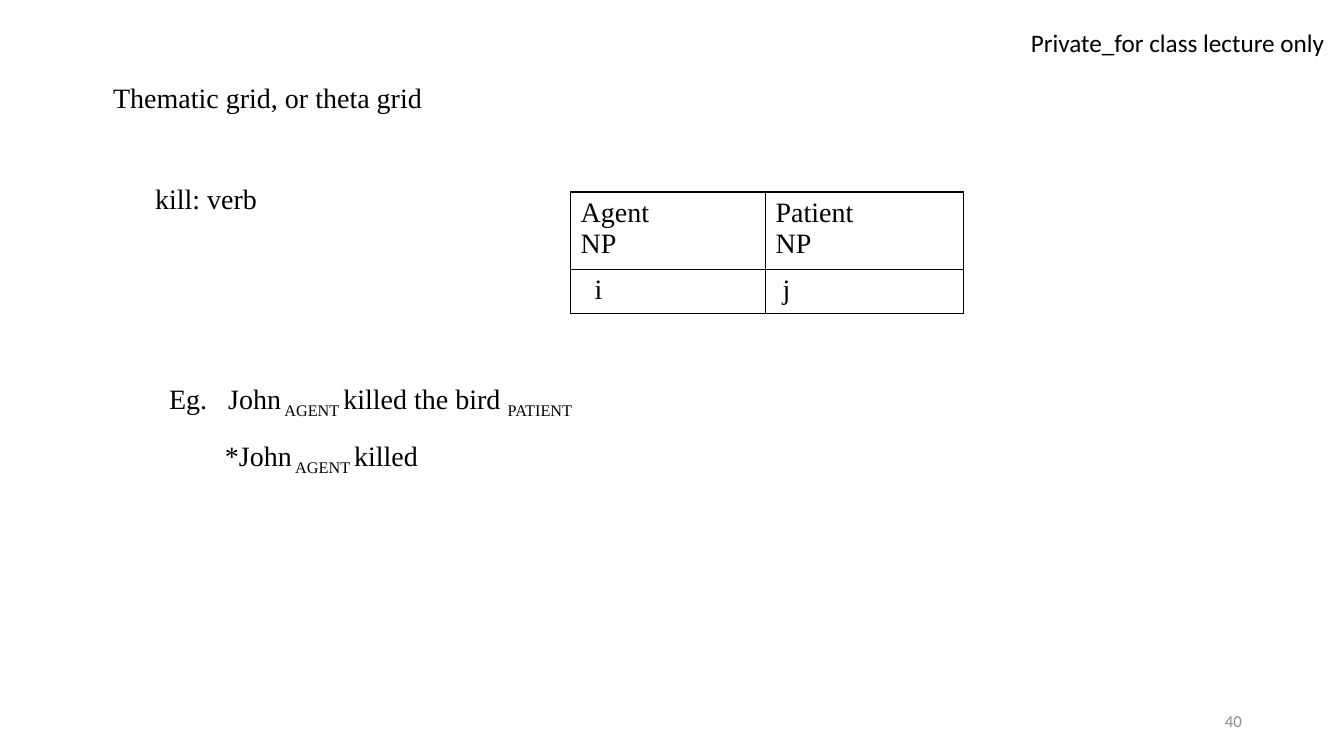
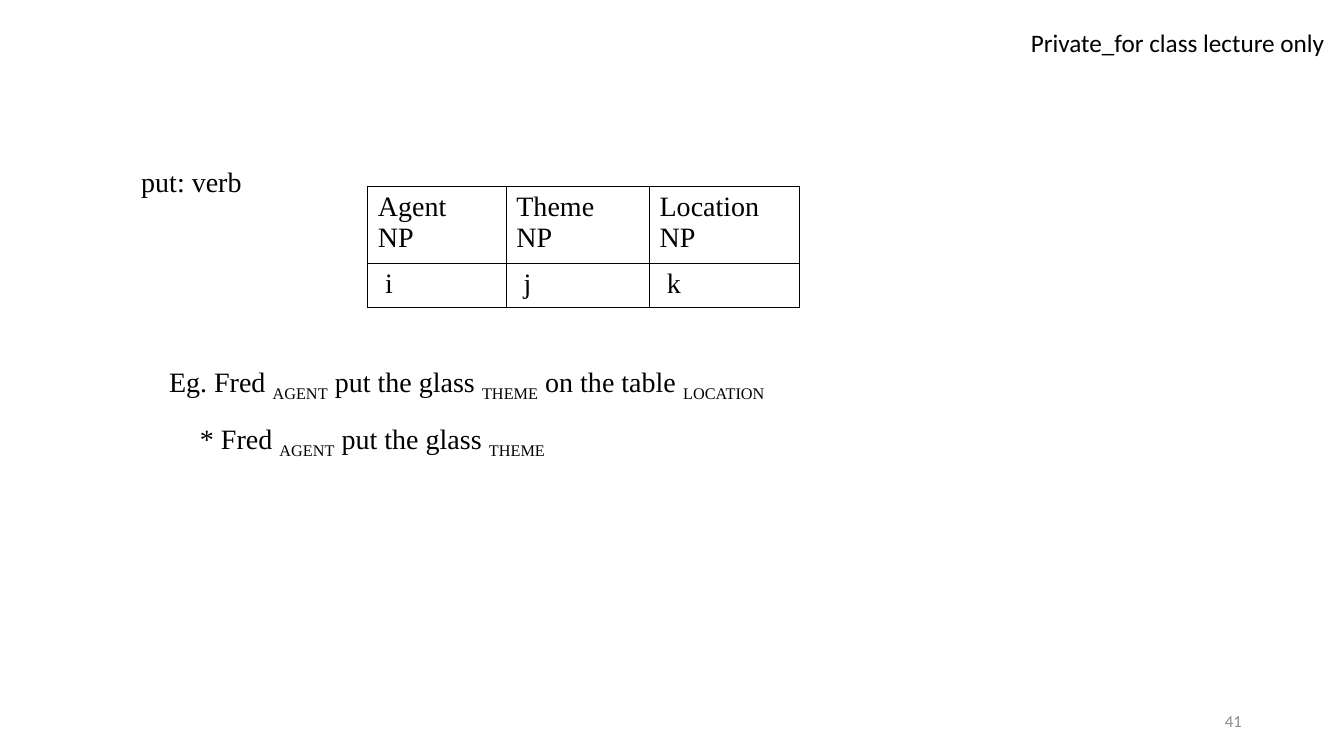
from dataclasses import dataclass
from typing import Any

from lxml import etree
from pptx import Presentation
from pptx import util as u
from pptx.dml.color import RGBColor
from pptx.enum import text
from pptx.oxml.ns import qn

# Shared style
BLACK = "000000"
GREY = "8C8C8C"
SERIF = "Times New Roman"
SANS = "Calibri"
BODY_SIZE = 20
BODY_LEFT = 2.85
LINE_HEIGHT = 24
HEADER_ROW, INDEX_ROW = 1.81, 1.04
# Space above a line, in points
AFTER_TITLE, BEFORE_EXAMPLES, NEXT_EXAMPLE = 48, 122, 17


@dataclass
class Line:
    """Phrases alternate between normal text and subscript role labels."""
    phrases: list[str]
    indent: float = 0
    space_before: float = 0
    hanging: float = 0


@dataclass
class Role:
    name: str
    index: str
    width: float
    index_indent: float = 0.18


@dataclass
class ThetaSlide:
    number: int
    text_top: float
    lines: list[Line]
    table_left: float
    table_top: float
    roles: list[Role]


SLIDES = [
    ThetaSlide(
        40, 2.03,
        [
            Line(["Thematic grid, or theta grid"]),
            Line(["kill: verb"], 1.06, AFTER_TITLE),
            Line(["Eg.\tJohn", " AGENT ", "killed the bird ", "PATIENT"],
                 2.9, BEFORE_EXAMPLES, 1.49),
            Line(["*John", " AGENT ", "killed"], 2.82, NEXT_EXAMPLE),
        ],
        14.38, 4.84,
        [Role("Agent", "i", 4.91, 0.35), Role("Patient", "j", 4.99)],
    ),
    ThetaSlide(
        41, 4.14,
        [
            Line(["put: verb"], 0.71),
            Line(["Eg. Fred ", "AGENT", " put the glass ", "THEME",
                  " on the table ", "LOCATION"], 1.41, BEFORE_EXAMPLES),
            Line(["* Fred ", "AGENT", " put the glass ", "THEME"],
                 2.19, NEXT_EXAMPLE),
        ],
        9.27, 4.69,
        [Role("Agent", "i", 3.49), Role("Theme", "j", 3.61),
         Role("Location", "k", 3.78)],
    ),
]


def color(value: str) -> RGBColor:
    return RGBColor.from_string(value)


def add_run(paragraph: Any, words: str, size: float = BODY_SIZE,
            font: str = SERIF, fill: str = BLACK, subscript: bool = False) -> None:
    run = paragraph.add_run()
    run.text = words
    run.font.size = u.Pt(size)
    run.font.name = font
    run.font.color.rgb = color(fill)
    if subscript:
        run._r.get_or_add_rPr().set("baseline", "-25000")


def set_indent(paragraph: Any, left: float, hanging: float = 0) -> None:
    properties = paragraph._p.get_or_add_pPr()
    properties.set("marL", str(int(u.Cm(left))))
    properties.set("indent", str(-int(u.Cm(hanging))))


def add_box(slide: Any, left: float, top: float, width: float, height: float) -> Any:
    shape = slide.shapes.add_textbox(u.Cm(left), u.Cm(top), u.Cm(width), u.Cm(height))
    shape.text_frame.word_wrap = True
    return shape.text_frame


# Header and slide number
def add_frame(slide: Any, number: int) -> None:
    header = add_box(slide, 25.73, 0.56, 8, 1.02)
    header.word_wrap = False
    add_run(header.paragraphs[0], "Private_for class lecture only", 18, SANS)

    footer = add_box(slide, 23.93, 17.65, 7.62, 1.02)
    footer.vertical_anchor = text.MSO_ANCHOR.MIDDLE
    footer.paragraphs[0].alignment = text.PP_ALIGN.RIGHT
    add_run(footer.paragraphs[0], str(number), 12, SANS, GREY)


# Entry and example sentences
def add_lines(slide: Any, top: float, lines: list[Line]) -> None:
    frame = add_box(slide, BODY_LEFT, top, 30, 12)
    frame.margin_left = frame.margin_right = 0
    frame.margin_top = frame.margin_bottom = 0
    for position, line in enumerate(lines):
        paragraph = frame.add_paragraph() if position else frame.paragraphs[0]
        paragraph.line_spacing = u.Pt(LINE_HEIGHT)
        paragraph.space_before = u.Pt(line.space_before)
        set_indent(paragraph, line.indent, line.hanging)
        for order, phrase in enumerate(line.phrases):
            add_run(paragraph, phrase, subscript=order % 2 == 1)


# Theta grid
def style_cell(cell: Any) -> None:
    properties = cell._tc.get_or_add_tcPr()
    for side in ("lnL", "lnR", "lnT", "lnB"):
        border = etree.SubElement(properties, qn(f"a:{side}"), w=str(int(u.Pt(1))))
        fill = etree.SubElement(border, qn("a:solidFill"))
        etree.SubElement(fill, qn("a:srgbClr"), val=BLACK)
    cell.fill.background()


def add_grid(slide: Any, left: float, top: float, roles: list[Role]) -> None:
    width = sum(role.width for role in roles)
    table = slide.shapes.add_table(
        2, len(roles), u.Cm(left), u.Cm(top),
        u.Cm(width), u.Cm(HEADER_ROW + INDEX_ROW)).table
    table.first_row = table.horz_banding = False
    for row, height in zip(table.rows, (HEADER_ROW, INDEX_ROW)):
        row.height = u.Cm(height)
    for column, role in enumerate(roles):
        table.columns[column].width = u.Cm(role.width)
        header, index = table.cell(0, column), table.cell(1, column)
        add_run(header.text_frame.paragraphs[0], role.name)
        add_run(header.text_frame.add_paragraph(), "NP")
        index_paragraph = index.text_frame.paragraphs[0]
        set_indent(index_paragraph, role.index_indent)
        add_run(index_paragraph, role.index)
        style_cell(header)
        style_cell(index)


def main() -> None:
    presentation = Presentation()
    presentation.slide_width = u.Cm(33.87)
    presentation.slide_height = u.Cm(19.05)
    for content in SLIDES:
        slide = presentation.slides.add_slide(presentation.slide_layouts[6])
        add_frame(slide, content.number)
        add_lines(slide, content.text_top, content.lines)
        add_grid(slide, content.table_left, content.table_top, content.roles)
    presentation.save("out.pptx")


if __name__ == "__main__":
    main()
